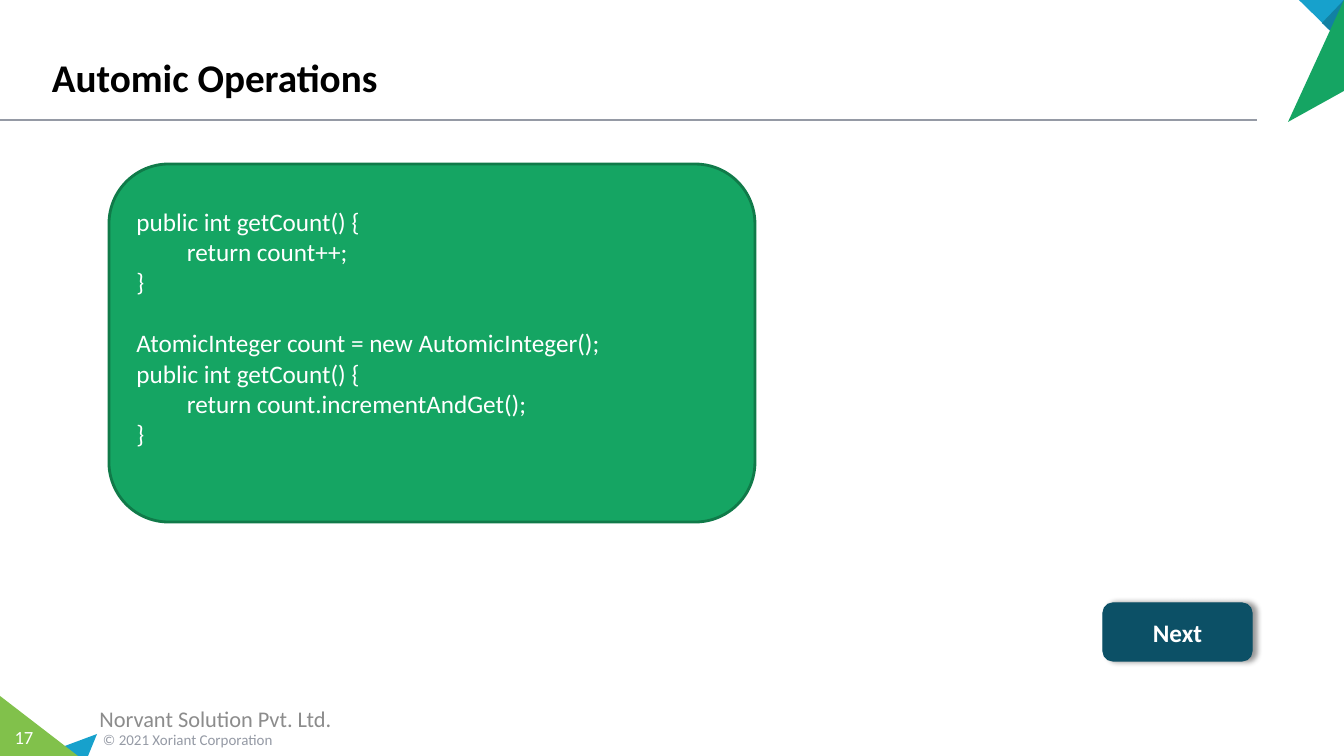
import pptx
import pptx.util
import pptx.dml.color
import pptx.enum.shapes
import pptx.enum.text
import lxml.etree

PX = 914400 / 100.8
WIDE, HIGH = 1344, 756
FONT = "Calibri"
WHITE, GRAY, GREEN, BLUE, TEAL = "FFFFFF", "959AA5", "15A563", "17A1CC", "0C5066"

RULE = (0, 120, 1257, 120)
WEDGES = [
    (BLUE, [(97, 734), (88, 756), (38, 756)]),
    ("81C14B", [(0, 696), (78, 756), (0, 756)]),
    (BLUE, [(1299, 0), (1344, 0), (1344, 44)]),
    ("1281A3", [(1322, 23), (1344, 0), (1344, 44)]),
    (GREEN, [(1288, 122), (1344, 0), (1344, 91)]),
]
LABELS = [
    ("© 2021 Xoriant Corporation", (93, 726, 313, 28), 10.7, GRAY, False, "LEFT", "MIDDLE", 10),
    ("17", (0, 721, 48, 33), 13.3, WHITE, False, "CENTER", "TOP", 0),
    ("Automic Operations", (42, 8, 1210, 97), 28, "000000", True, "LEFT", "BOTTOM", 10),
    ("Norvant Solution Pvt. Ltd.", (24, 699, 383, 40), 16, "8C8C8C", False, "CENTER", "MIDDLE", 10),
]
CODE = [
    ["public int getCount() {", "\treturn count++;", "}"],
    ["AtomicInteger count = new AutomicInteger();", "public int getCount() {",
     "\treturn count.incrementAndGet();", "}"],
]
PANEL = (109, 164, 646, 358)
BUTTON = (1103, 603, 149, 58)
GAP = 22
LINE = 31


def px(num):
    return round(num * PX)


def rgb(code):
    return pptx.dml.color.RGBColor.from_string(code)


def paint(shape, fill, edge=None, width=1):
    shape.shadow.inherit = False
    shape.fill.solid()
    shape.fill.fore_color.rgb = rgb(fill)
    if edge:
        shape.line.color.rgb = rgb(edge)
        shape.line.width = pptx.util.Pt(width)
    else:
        shape.line.fill.background()


def write(shape, blocks, size, color, bold, align, anchor, side=10):
    frame = shape.text_frame
    frame.word_wrap = True
    frame.vertical_anchor = getattr(pptx.enum.text.MSO_ANCHOR, anchor)
    frame.margin_left = frame.margin_right = px(side)
    frame.margin_top = frame.margin_bottom = px(5)
    para = frame.paragraphs[0]
    for i, block in enumerate(blocks):
        for j, text in enumerate(block):
            if i or j:
                para = frame.add_paragraph()
            if i and not j:
                para.space_before = pptx.util.Pt(GAP)
            para.alignment = getattr(pptx.enum.text.PP_ALIGN, align)
            run = para.add_run()
            run.text = text
            run.font.name = FONT
            run.font.size = pptx.util.Pt(size)
            run.font.bold = bold
            run.font.color.rgb = rgb(color)


def round_box(shapes, box, fill, edge, width):
    kind = pptx.enum.shapes.MSO_SHAPE.ROUNDED_RECTANGLE
    shape = shapes.add_shape(kind, *map(px, box))
    paint(shape, fill, edge, width)
    return shape


def shade(shape):
    space = "http://schemas.openxmlformats.org/drawingml/2006/main"
    glow = lxml.etree.fromstring(
        f'<a:outerShdw xmlns:a="{space}" blurRad="50800" dist="38100" dir="0" algn="l" rotWithShape="0">'
        '<a:srgbClr val="000000"><a:alpha val="40000"/></a:srgbClr></a:outerShdw>')
    shape._element.spPr.find(f"{{{space}}}effectLst").append(glow)


def main():
    deck = pptx.Presentation()
    deck.slide_width, deck.slide_height = px(WIDE), px(HIGH)
    shapes = deck.slides.add_slide(deck.slide_layouts[6]).shapes

    rule = shapes.add_connector(pptx.enum.shapes.MSO_CONNECTOR.STRAIGHT, *map(px, RULE))
    rule.line.color.rgb = rgb(GRAY)
    rule.line.width = pptx.util.Pt(1)
    lxml.etree.SubElement(rule._element.spPr, pptx.oxml.ns.qn("a:effectLst"))

    for fill, points in WEDGES:
        path = shapes.build_freeform(*points[0], scale=PX)
        path.add_line_segments(points[1:], close=True)
        paint(path.convert_to_shape(), fill)

    for text, box, *style in LABELS:
        write(shapes.add_textbox(*map(px, box)), [[text]], *style)

    panel = round_box(shapes, PANEL, GREEN, "107A49", 2)
    write(panel, CODE, 18, WHITE, False, "LEFT", "MIDDLE")
    panel.text_frame.margin_bottom = px(5 + LINE)

    button = round_box(shapes, BUTTON, TEAL, TEAL, 0.75)
    shade(button)
    write(button, [["Next"]], 18, WHITE, True, "CENTER", "MIDDLE")

    deck.save("out.pptx")


if __name__ == "__main__":
    main()
